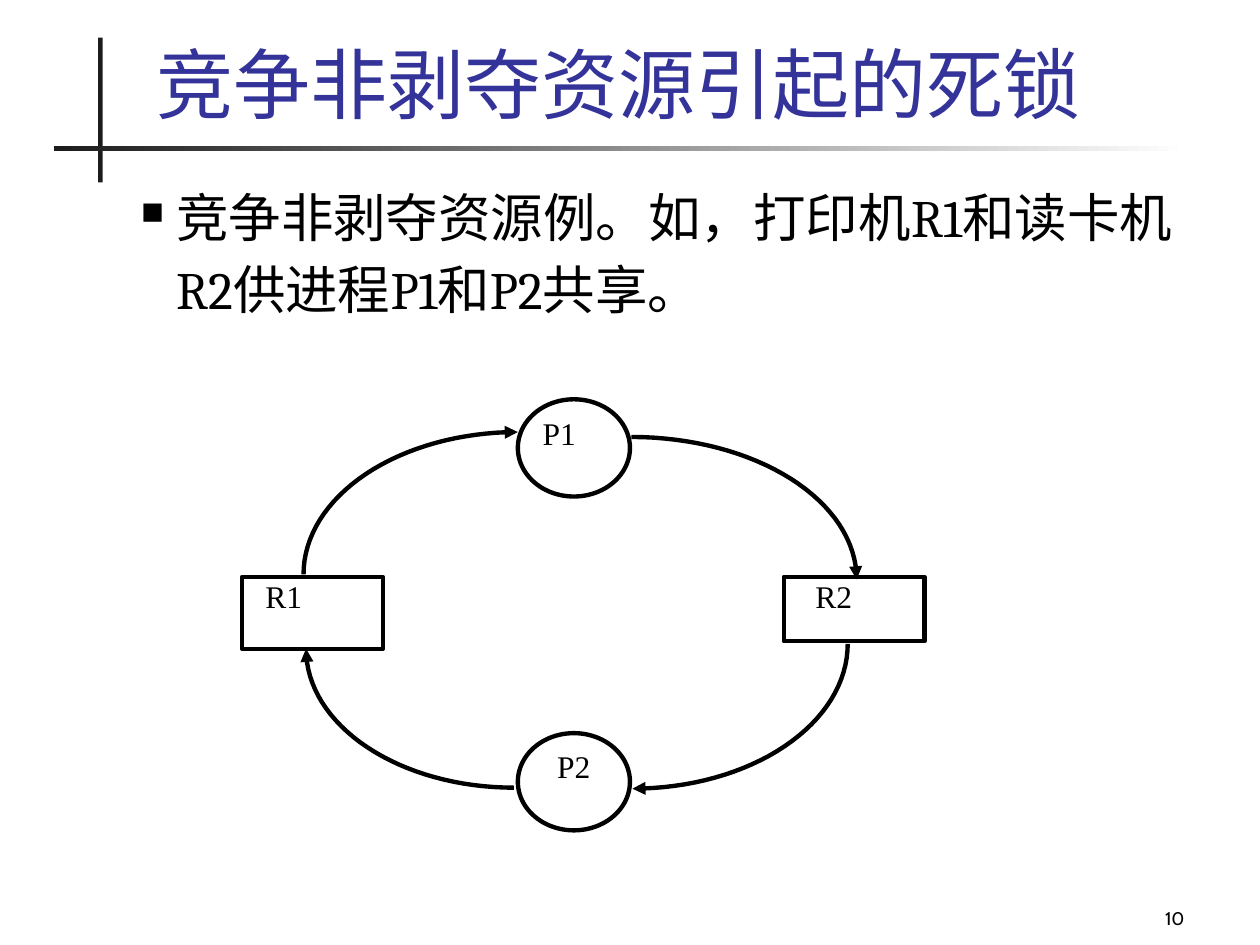
from dataclasses import dataclass
from math import cos, pi, sin

from lxml.etree import SubElement
from pptx import Presentation
from pptx.dml.color import RGBColor
from pptx.enum.shapes import MSO_SHAPE
from pptx.enum.text import MSO_ANCHOR, PP_ALIGN
from pptx.oxml.ns import qn
from pptx.util import Cm, Pt


@dataclass(frozen=True)
class Theme:
    """Colours, fonts and sizes of the slide."""
    ink: RGBColor = RGBColor(0, 0, 0)
    paper: RGBColor = RGBColor(255, 255, 255)
    rule: RGBColor = RGBColor(0x1C, 0x1C, 0x1C)
    title: RGBColor = RGBColor(0x33, 0x33, 0x99)
    serif: str = "Cambria"
    label: str = "Times New Roman"
    number: str = "Cabin"
    big: float = 44
    body: float = 30
    node: float = 18
    small: float = 10.5
    stroke: float = 2.5


THEME = Theme()


def add_run(para, text, font, size, color):
    """Add one styled run to a paragraph."""
    run = para.add_run()
    run.text = text
    run.font.name, run.font.size = font, Pt(size)
    run.font.color.rgb = color


def add_box(slide, box, anchor=MSO_ANCHOR.TOP):
    """Add a wrapped text box and return its first paragraph."""
    frame = slide.shapes.add_textbox(*map(Cm, box)).text_frame
    frame.word_wrap = True
    frame.vertical_anchor = anchor
    return frame.paragraphs[0]


def add_form(slide, kind, box):
    """Add a preset shape without a shadow."""
    form = slide.shapes.add_shape(kind, *map(Cm, box))
    form.shadow.inherit = False
    return form


def add_header(slide, box, text):
    """Place the title with its upright bar and fading rule."""
    left, top, width, height = box
    bar = add_form(slide, MSO_SHAPE.RECTANGLE, (left + 0.9, top + 0.12, 0.09, 2.92))
    bar.fill.solid()
    bar.fill.fore_color.rgb = THEME.rule
    rule = add_form(slide, MSO_SHAPE.RECTANGLE, (left, top + 2.31, width, 0.09))
    rule.fill.gradient()
    rule.fill.gradient_angle = 0
    for stop, color in zip(rule.fill.gradient_stops, (THEME.rule, THEME.paper)):
        stop.color.rgb = color
    for part in (bar, rule):
        part.line.fill.background()
    para = add_box(slide, (left + 1.82, top, 21.82, height), MSO_ANCHOR.BOTTOM)
    add_run(para, text, THEME.serif, THEME.big, THEME.title)


def add_body(slide, box, text):
    """Place the bulleted statement."""
    para = add_box(slide, box)
    para.line_spacing = 1.14
    props = para._p.get_or_add_pPr()
    props.set("marL", str(Cm(0.71)))
    props.set("indent", str(-Cm(0.71)))
    color = SubElement(props, qn("a:buClr"))
    SubElement(color, qn("a:srgbClr"), val=str(THEME.ink))
    SubElement(props, qn("a:buSzPct"), val="60000")
    SubElement(props, qn("a:buChar"), char="■")
    add_run(para, text, THEME.serif, THEME.body, THEME.ink)


def add_node(slide, kind, box, text, inset):
    """Place a labelled node, centred when it has no inset."""
    node = add_form(slide, kind, box)
    node.fill.solid()
    node.fill.fore_color.rgb = THEME.paper
    node.line.color.rgb = THEME.ink
    node.line.width = Pt(THEME.stroke)
    frame = node.text_frame
    frame.margin_left = Cm(inset)
    frame.margin_top = frame.margin_right = frame.margin_bottom = 0
    frame.vertical_anchor = MSO_ANCHOR.TOP
    para = frame.paragraphs[0]
    para.alignment = PP_ALIGN.LEFT if inset else PP_ALIGN.CENTER
    add_run(para, text, THEME.label, THEME.node, THEME.ink)


def add_arc(slide, start, end, flat, steps=32):
    """Draw a quarter ellipse with an arrow, leaving flat or upright."""
    (left, top), (right, low) = start, end
    points = []
    for step in range(1, steps + 1):
        turn = pi / 2 * step / steps
        fast, slow = sin(turn), 1 - cos(turn)
        across, down = (fast, slow) if flat else (slow, fast)
        points.append((Cm(left + (right - left) * across), Cm(top + (low - top) * down)))
    path = slide.shapes.build_freeform(Cm(left), Cm(top))
    path.add_line_segments(points, close=False)
    arc = path.convert_to_shape()
    arc.shadow.inherit = False
    arc.fill.background()
    arc.line.color.rgb = THEME.ink
    arc.line.width = Pt(THEME.stroke)
    SubElement(arc.line._get_or_add_ln(), qn("a:tailEnd"), type="triangle")


def add_cycle(slide, box):
    """Place the ring of two tasks and two resources."""
    left, top = box[:2]
    oval, block = MSO_SHAPE.OVAL, MSO_SHAPE.RECTANGLE
    nodes = (
        (oval, 5.56, 0, 2.26, 1.96, "P1", 0.17),
        (block, 0, 3.58, 2.84, 1.45, "R1", 0.47),
        (block, 10.92, 3.58, 2.84, 1.3, "R2", 0.64),
        (oval, 5.56, 6.73, 2.26, 1.96, "P2", 0),
    )
    for kind, x, y, width, height, text, inset in nodes:
        add_node(slide, kind, (left + x, top + y, width, height), text, inset)
    arcs = (
        (7.85, 0.76, 12.39, 3.63, True),
        (1.24, 3.53, 5.56, 0.66, False),
        (5.48, 7.83, 1.29, 5.03, True),
        (12.21, 4.93, 7.87, 7.85, False),
    )
    for x, y, to_x, to_y, flat in arcs:
        add_arc(slide, (left + x, top + y), (left + to_x, top + to_y), flat)


def add_number(slide, box, text):
    """Place the page number."""
    para = add_box(slide, box, MSO_ANCHOR.BOTTOM)
    para.alignment = PP_ALIGN.RIGHT
    add_run(para, text, THEME.number, THEME.small, THEME.ink)


def main():
    """Build the slide and save it."""
    deck = Presentation()
    deck.slide_width, deck.slide_height = Cm(25.4), Cm(19.05)
    slide = deck.slides.add_slide(deck.slide_layouts[6])
    add_header(slide, (1.08, 0.64, 22.86, 2.08), "竞争非剥夺资源引起的死锁")
    add_body(slide, (2.59, 3.43, 21.59, 13.6),
             "竞争非剥夺资源例。如，打印机R1和读卡机R2供进程P1和P2共享。")
    add_number(slide, (18.85, 17.58, 5.28, 1.27), "10")
    add_cycle(slide, (4.88, 8.05, 13.76, 8.69))
    deck.save("out.pptx")


if __name__ == "__main__":
    main()
